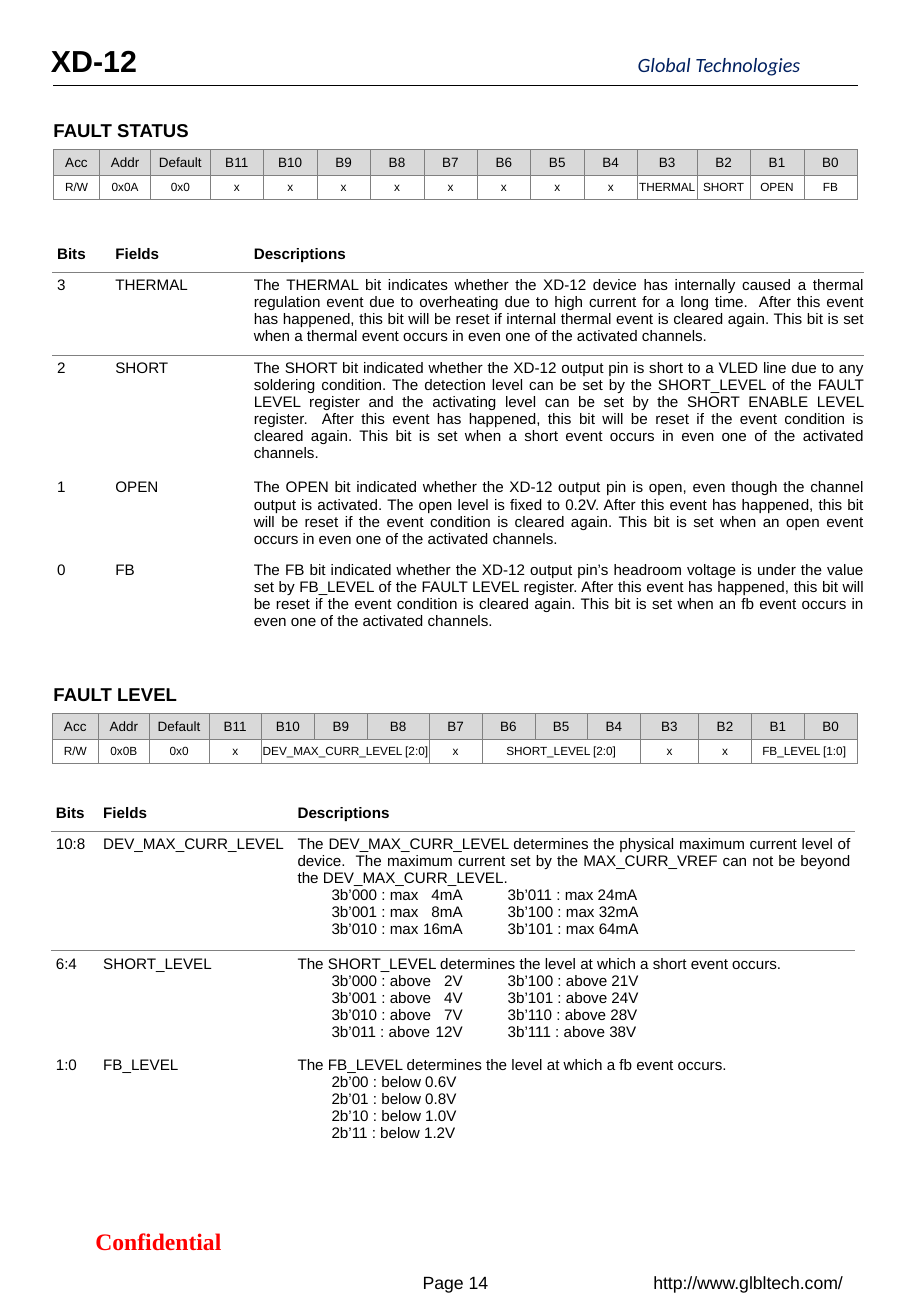
from lxml import etree
from pptx import Presentation, util as u
from pptx.dml.color import RGBColor
from pptx.enum import shapes, text
from pptx.oxml import ns

LEFT, CENTER, JUSTIFY = (text.PP_ALIGN.LEFT, text.PP_ALIGN.CENTER, text.PP_ALIGN.JUSTIFY)
TOP, MIDDLE = text.MSO_ANCHOR.TOP, text.MSO_ANCHOR.MIDDLE
NO_STYLE = "{2D5ABB26-0587-4C30-8999-92F81FD0307C}"
PAD = 0.04
VALUE_TABS = ((0.28, "l"), (1.36, "r"), (1.73, "l"))

STATUS_DESCRIPTIONS = [
    ("3", "THERMAL", ["The THERMAL bit indicates whether the XD-12 device has internally caused a thermal regulation event due to overheating due to high current for a long time.  After this event has happened, this bit will be reset if internal thermal event is cleared again. This bit is set when a thermal event occurs in even one of the activated channels."]),
    ("2", "SHORT", ["The SHORT bit indicated whether the XD-12 output pin is short to a VLED line due to any soldering condition. The detection level can be set by the SHORT_LEVEL of the FAULT LEVEL register and the activating level can be set by the SHORT ENABLE LEVEL register.  After this event has happened, this bit will be reset if the event condition is cleared again. This bit is set when a short event occurs in even one of the activated channels."]),
    ("1", "OPEN", ["The OPEN bit indicated whether the XD-12 output pin is open, even though the channel output is activated. The open level is fixed to 0.2V. After this event has happened, this bit will be reset if the event condition is cleared again. This bit is set when an open event occurs in even one of the activated channels."]),
    ("0", "FB", ["The FB bit indicated whether the XD-12 output pin’s headroom voltage is under the value set by FB_LEVEL of the FAULT LEVEL register. After this event has happened, this bit will be reset if the event condition is cleared again. This bit is set when an fb event occurs in even one of the activated channels."]),
]
LEVEL_DESCRIPTIONS = [
    ("10:8", "DEV_MAX_CURR_LEVEL", [
        "The DEV_MAX_CURR_LEVEL determines the physical maximum current level of device.  The maximum current set by the MAX_CURR_VREF can not be beyond the DEV_MAX_CURR_LEVEL.",
        "\t3b’000 : max\t4mA\t3b’011 : max 24mA",
        "\t3b’001 : max\t8mA\t3b’100 : max 32mA",
        "\t3b’010 : max\t16mA\t3b’101 : max 64mA"]),
    ("6:4", "SHORT_LEVEL", [
        "The SHORT_LEVEL determines the level at which a short event occurs.",
        "\t3b’000 : above\t2V\t3b’100 : above 21V",
        "\t3b’001 : above\t4V\t3b’101 : above 24V",
        "\t3b’010 : above\t7V\t3b’110 : above 28V",
        "\t3b’011 : above\t12V\t3b’111 : above 38V"]),
    ("1:0", "FB_LEVEL", [
        "The FB_LEVEL determines the level at which a fb event occurs.",
        "\t2b’00 : below 0.6V",
        "\t2b’01 : below 0.8V",
        "\t2b’10 : below 1.0V",
        "\t2b’11 : below 1.2V"]),
]


def color(value):
    """Turn a hex string into a colour."""
    return RGBColor.from_string(value)


def set_attrs(obj, values):
    """Set every attribute named in a dict."""
    for name, value in values.items():
        setattr(obj, name, value)


def margins(left, top, right, bottom):
    """Return the four text margins as format values."""
    names = ("margin_left", "margin_top", "margin_right", "margin_bottom")
    return {n: u.Inches(v) for n, v in zip(names, (left, top, right, bottom))}


def write(tf, lines, size, align=LEFT, font="Arial", hue="000000", **style):
    """Write paragraphs, laying out tabbed lines on the value tab stops."""
    for i, line in enumerate(lines):
        p = tf.add_paragraph() if i else tf.paragraphs[0]
        tabbed = "\t" in line
        p.alignment = LEFT if tabbed else align
        if tabbed:
            tabs = etree.SubElement(p._p.get_or_add_pPr(), ns.qn("a:tabLst"))
            for pos, side in VALUE_TABS:
                etree.SubElement(tabs, ns.qn("a:tab"), pos=str(u.Inches(pos)), algn=side)
        r = p.add_run()
        r.text = line
        set_attrs(r.font, dict(size=u.Pt(size), name=font, **style))
        r.font.color.rgb = color(hue)


def add_label(s, box, label, size, inset=(0.1, 0.05, 0.1, 0.05), anchor=TOP, **style):
    """Add a one-line text box."""
    tf = s.shapes.add_textbox(*map(u.Inches, box)).text_frame
    set_attrs(tf, dict(word_wrap=True, vertical_anchor=anchor, **margins(*inset)))
    write(tf, [label], size, **style)


def add_grid(s, x, y, widths, heights):
    """Add an unstyled table with the given column widths and row heights."""
    frame = s.shapes.add_table(len(heights), len(widths), u.Inches(x), u.Inches(y),
                               u.Inches(sum(widths)), u.Inches(sum(heights)))
    table = frame.table
    set_attrs(table, dict(first_row=False, horz_banding=False))
    table._tbl.find(".//" + ns.qn("a:tableStyleId")).text = NO_STYLE
    for col, width in zip(table.columns, widths):
        col.width = u.Inches(width)
    for row, height in zip(table.rows, heights):
        row.height = u.Inches(height)
    return table


def format_cell(cell, inset, anchor, sides, weight, fill=None):
    """Set the margins, grey borders and fill of a cell."""
    set_attrs(cell, dict(vertical_anchor=anchor, **margins(*inset)))
    for side in sides:
        ln = etree.SubElement(cell._tc.get_or_add_tcPr(), ns.qn("a:ln" + side),
                              w=str(u.Pt(weight)))
        solid = etree.SubElement(ln, ns.qn("a:solidFill"))
        etree.SubElement(solid, ns.qn("a:srgbClr"), val="808080")
    if fill:
        cell.fill.solid()
        cell.fill.fore_color.rgb = color(fill)
    else:
        cell.fill.background()


def add_register(s, x, y, width, title, values, wide):
    """Add a register heading and its bit map; values pair a text with a bit span."""
    add_label(s, (0.44, y - 0.3, 6.62, 0.29), title, 11, (0, 0.05, 0.1, 0.05), bold=True)
    names = ["Acc", "Addr", "Default"] + [f"B{n}" for n in range(11, -1, -1)]
    fixed = {"Acc": 0.38, "Addr": 0.42, "Default": 0.49, **wide}
    bit_width = (width - sum(fixed.values())) / (len(names) - len(fixed))
    table = add_grid(s, x, y, [fixed.get(n, bit_width) for n in names], (0.21, 0.2))
    for c, name in enumerate(names):
        side = 0 if name == "B0" else PAD
        format_cell(table.cell(0, c), (side, PAD, side, PAD), MIDDLE, "LRTB", 0.25, "D9D9D9")
        write(table.cell(0, c).text_frame, [name], 8, CENTER)
        side = PAD if c < 3 else 0
        format_cell(table.cell(1, c), (side, PAD, side, PAD), MIDDLE, "LRTB", 0.25)
    c = 0
    for value, span in values:
        cell = table.cell(1, c)
        if span > 1:
            cell.merge(table.cell(1, c + span - 1))
        write(cell.text_frame, [value], 7, CENTER)
        c += span


def add_descriptions(s, x, y, widths, heights, rows, right):
    """Add a field description table with a rule under its header."""
    table = add_grid(s, x, y, widths, heights)
    for r, row in enumerate([("Bits", "Fields", ["Descriptions"])] + rows):
        for c, value in enumerate(row):
            cell = table.cell(r, c)
            format_cell(cell, (PAD, PAD, right, PAD), TOP if r else MIDDLE,
                        {0: "B", 1: "T"}.get(r, ""), 0.5)
            lines = value if c == 2 else [value]
            write(cell.text_frame, lines, 9, JUSTIFY if r and c == 2 else LEFT, bold=r == 0)


def add_header(s, x, y, width):
    """Add the product name, the company name and the rule below them."""
    add_label(s, (x, y, width, 0.4), "XD-12", 18, (0, 0.05, 0, 0.05), bold=True)
    add_label(s, (x + 4.83, y + 0.13, 1.6, 0.2), "Global Technologies", 12, (0, 0, 0, 0),
              font="Calibri", hue="002060", italic=True)
    line_y = u.Inches(y + 0.4)
    rule = s.shapes.add_connector(shapes.MSO_CONNECTOR.STRAIGHT, u.Inches(x + 0.02), line_y,
                                  u.Inches(x + width), line_y)
    rule.line.color.rgb = color("000000")
    rule.line.width = u.Pt(0.5)
    etree.SubElement(rule._element.spPr, ns.qn("a:effectLst"))


def add_footer(s, x, y):
    """Add the confidentiality mark, page number and web address."""
    style = dict(anchor=MIDDLE, align=CENTER)
    add_label(s, (x, y, 1.93, 0.34), "Confidential", 14, font="Times New Roman",
              hue="FF0000", bold=True, **style)
    add_label(s, (x + 2.94, y + 0.34, 0.94, 0.34), "Page 14", 10.5, **style)
    add_label(s, (x + 4.88, y + 0.34, 1.88, 0.34), "http://www.glbltech.com/", 10.5, **style)


def main():
    """Build the register page."""
    prs = Presentation()
    set_attrs(prs, dict(slide_width=u.Inches(7.5), slide_height=u.Inches(10.83)))
    s = prs.slides.add_slide(prs.slide_layouts[6])
    add_header(s, 0.42, 0.3, 6.64)
    status = ["R/W", "0x0A", "0x0"] + ["x"] * 8 + ["THERMAL", "SHORT", "OPEN", "FB"]
    add_register(s, 0.44, 1.23, 6.62, "FAULT STATUS", [(v, 1) for v in status], {"B3": 0.49})
    add_descriptions(s, 0.43, 1.94, (0.48, 1.14, 5.06), (0.3, 0.68, 0.83, 0.68, 0.67),
                     STATUS_DESCRIPTIONS, 0)
    level = [("R/W", 1), ("0x0B", 1), ("0x0", 1), ("x", 1), ("DEV_MAX_CURR_LEVEL [2:0]", 3),
             ("x", 1), ("SHORT_LEVEL [2:0]", 3), ("x", 1), ("x", 1), ("FB_LEVEL [1:0]", 2)]
    add_register(s, 0.43, 5.87, 6.63, "FAULT LEVEL", level, {"B8": 0.51, "B3": 0.48})
    add_descriptions(s, 0.42, 6.54, (0.39, 1.6, 4.63), (0.3, 0.98, 0.83, 0.82),
                     LEVEL_DESCRIPTIONS, PAD)
    add_footer(s, 0.34, 10.04)
    prs.save("out.pptx")


if __name__ == "__main__":
    main()
